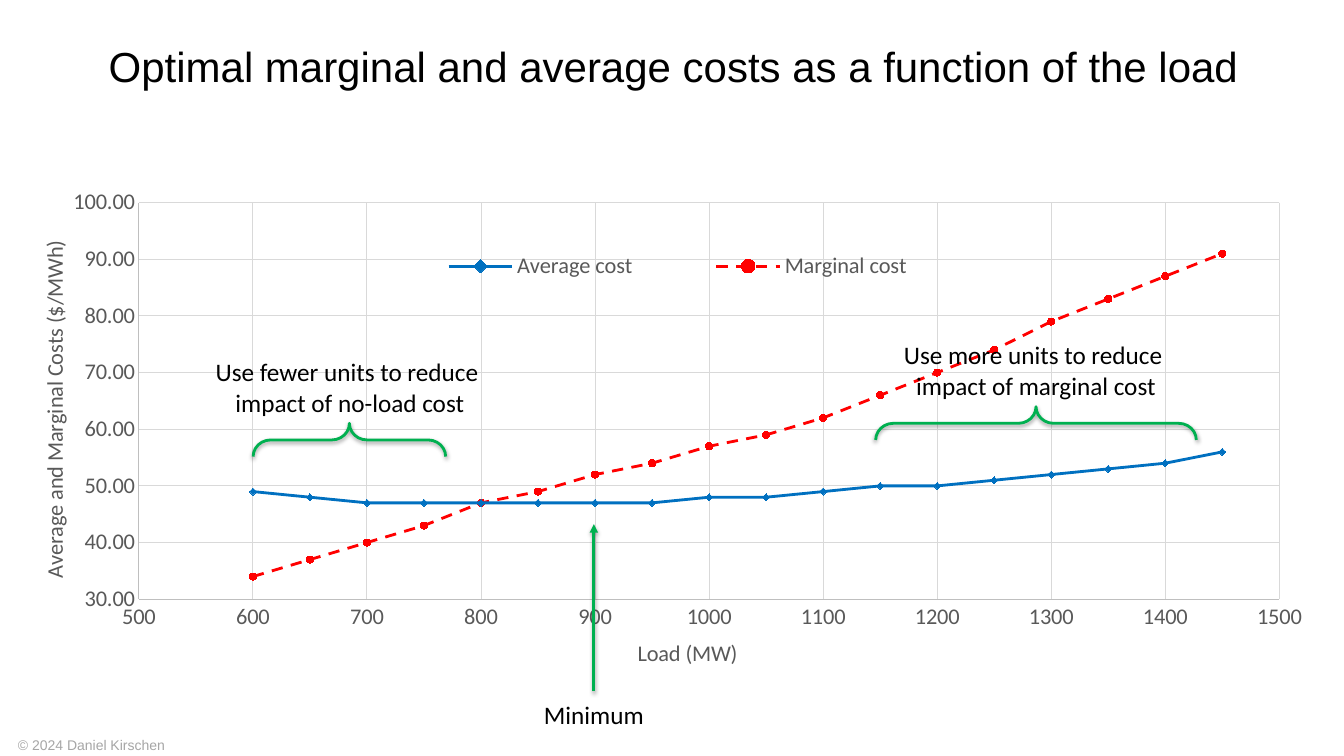
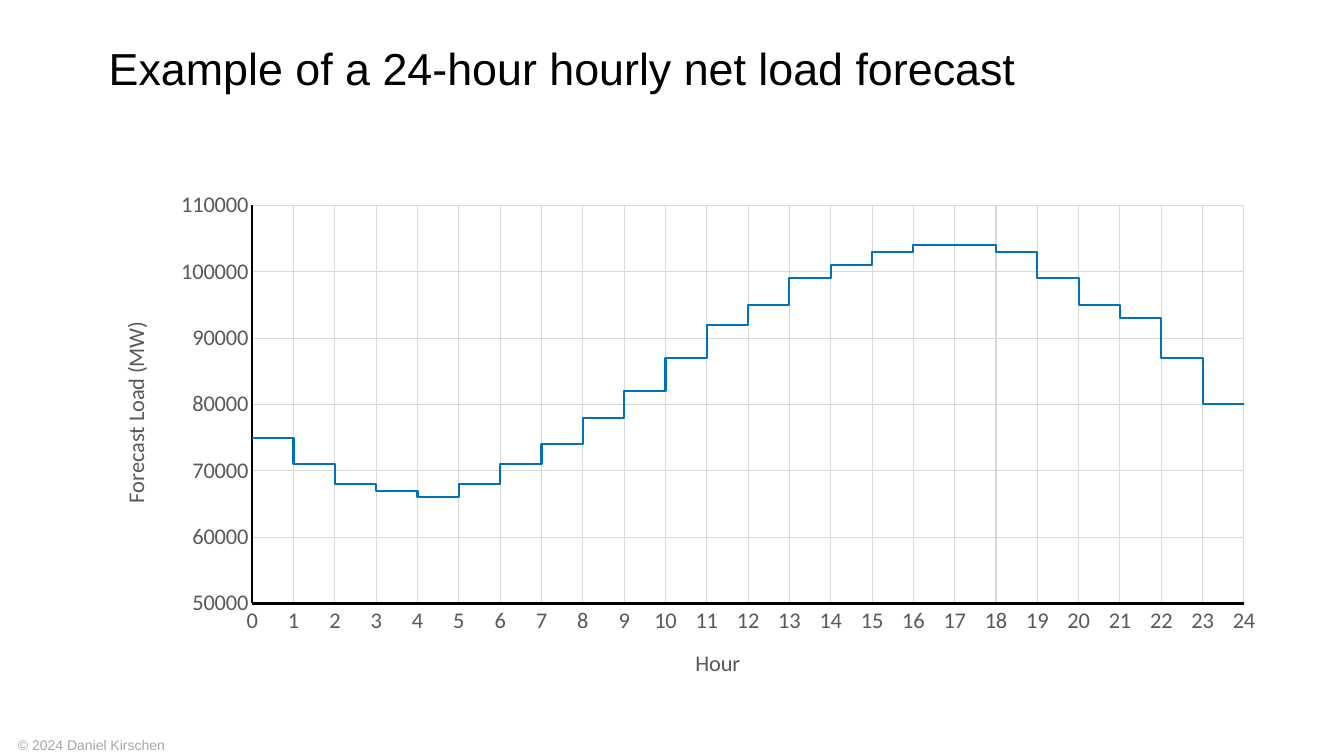
import pptx
import pptx.chart.data
import pptx.dml.color
import pptx.enum.chart
import pptx.enum.dml
import pptx.enum.shapes
import pptx.enum.text
import pptx.oxml
import pptx.oxml.ns
import pptx.util
from dataclasses import dataclass

Inches, Pt, qn = pptx.util.Inches, pptx.util.Pt, pptx.oxml.ns.qn
Chart, Shape = pptx.enum.chart, pptx.enum.shapes
DASH = pptx.enum.dml.MSO_LINE.DASH
CENTER, LEFT = pptx.enum.text.PP_ALIGN.CENTER, pptx.enum.text.PP_ALIGN.LEFT


@dataclass(frozen=True)
class Theme:
    heading_font: str = "Arial"
    body_font: str = "Calibri"
    ink: str = "000000"
    footer: str = "A6A6A6"
    chart_text: str = "595959"
    grid: str = "D9D9D9"
    pale_axis: str = "BFBFBF"
    blue: str = "0070C0"
    red: str = "FF0000"
    green: str = "00B050"
    footer_size: float = 10
    chart_size: float = 16
    note_size: float = 18
    accent_width: float = 2


THEME = Theme()
WIDTH, HEIGHT = 13.33, 7.5
TITLE_PLACE = (0.98, 0.41, 11.71, 0.72)
FOOTER_PLACE = (0.08, 7.26, 3.32, 0.27)
FOOTER = "© 2024 Daniel Kirschen"

LOADS = range(600, 1451, 50)
AVERAGE = [49, 48, 47, 47, 47, 47, 47, 47, 48, 48, 49, 50, 50, 51, 52, 53, 54, 56]
MARGINAL = [34, 37, 40, 43, 47, 49, 52, 54, 57, 59, 62, 66, 70, 74, 79, 83, 87, 91]
HOURLY_GIGAWATTS = [75, 71, 68, 67, 66, 68, 71, 74, 78, 82, 87, 92,
                    95, 99, 101, 103, 104, 104, 103, 99, 95, 93, 87, 80]
HOURLY_STEPS = [(hour + end, load * 1000)
                for hour, load in enumerate(HOURLY_GIGAWATTS) for end in (0, 1)]

# Layouts inside a chart are percentages of the chart's size.
COSTS = {
    "title": "Optimal marginal and average costs as a function of the load",
    "title_size": 30,
    "place": (0.31, 1.52, 12.71, 5.17),
    "plot": (8.4, 9.5, 89, 76.2),
    "legend": (26.6, 18.2, 47.7, 7),
    "axis_line": (THEME.pale_axis, 0.75),
    "x": {"title": "Load (MW)", "at": (47, 92.3), "scale": (500, 1500, 100), "format": "0"},
    "y": {"title": "Average and Marginal Costs ($/MWh)", "at": (0.3, 16.1),
          "scale": (30, 100, 10), "format": "0.00"},
    "series": [
        {"name": "Average cost", "points": list(zip(LOADS, AVERAGE)), "color": THEME.blue,
         "width": 2, "marker": Chart.XL_MARKER_STYLE.DIAMOND},
        {"name": "Marginal cost", "points": list(zip(LOADS, MARGINAL)), "color": THEME.red,
         "width": 2, "marker": Chart.XL_MARKER_STYLE.CIRCLE, "dash": DASH},
    ],
}
FORECAST = {
    "title": "Example of a 24-hour hourly net load forecast",
    "title_size": 32,
    "place": (0.98, 1.8, 11.71, 5.17),
    "plot": (13, 4.6, 84, 76.4),
    "axis_line": (THEME.ink, 1.5),
    "x": {"title": "Hour", "at": (50.2, 88.8), "scale": (0, 24, 1), "format": "0"},
    "y": {"title": "Forecast Load (MW)", "at": (1.5, 26.2),
          "scale": (50000, 110000, 10000), "format": "0"},
    "series": [{"name": "Series 1", "points": HOURLY_STEPS, "color": THEME.blue, "width": 1.5}],
}
NOTES = [
    (["Minimum"], (5.29, 6.89, 1.2, 0.4)),
    (["Use fewer units to reduce ", "impact of no-load cost"], (2.02, 3.49, 2.9, 0.71)),
    (["Use more units to reduce ", "impact of marginal cost"], (8.82, 3.32, 2.91, 0.71)),
]
BRACES = [(3.3, 3.41, 0.33, 1.91), (10.11, 2.61, 0.33, 3.18)]
ARROW = (5.89, 6.86, 5.89, 5.2)


def inches(values):
    return [Inches(value) for value in values]


def rgb(color):
    return pptx.dml.color.RGBColor.from_string(color)


def style_font(font, name, size, color):
    font.name, font.size, font.bold = name, Pt(size), False
    font.color.rgb = rgb(color)


def style_line(line, color, width, dash=None):
    line.color.rgb = rgb(color)
    line.width = Pt(width)
    if dash is not None:
        line.dash_style = dash


def add_text(slide, lines, place, font, align=LEFT, wrap=True, spacing=None):
    frame = slide.shapes.add_textbox(*inches(place)).text_frame
    frame.word_wrap = wrap
    frame.text = "\n".join(lines)
    for para in frame.paragraphs:
        para.alignment = align
        para.line_spacing = spacing
        for span in para.runs:
            style_font(span.font, *font)


def set_layout(element, index, percentages, inner=False):
    """Place a chart part by hand; index is where its layout belongs among the children."""
    for old in element.findall(qn("c:layout")):
        element.remove(old)
    values = [("layoutTarget", "inner")] if inner else []
    values += [("xMode", "edge"), ("yMode", "edge")]
    values += [(tag, round(value / 100, 4)) for tag, value in zip("xywh", percentages)]
    children = "".join(f'<c:{tag} val="{value}"/>' for tag, value in values)
    element.insert(index, pptx.oxml.parse_xml(
        f'<c:layout {pptx.oxml.ns.nsdecls("c")}><c:manualLayout>{children}'
        '</c:manualLayout></c:layout>'))


def style_axis(axis, content, line, vertical):
    axis.minimum_scale, axis.maximum_scale, axis.major_unit = content["scale"]
    axis.crosses = Chart.XL_AXIS_CROSSES.MINIMUM
    axis.major_tick_mark = axis.minor_tick_mark = Chart.XL_TICK_MARK.NONE
    axis.has_major_gridlines = True
    style_line(axis.major_gridlines.format.line, THEME.grid, 0.75)
    style_line(axis.format.line, *line)
    labels = axis.tick_labels
    labels.number_format, labels.number_format_is_linked = content["format"], False
    style_font(labels.font, THEME.body_font, THEME.chart_size, THEME.chart_text)

    title = axis.axis_title
    title.text_frame.text = content["title"]
    span = title.text_frame.paragraphs[0].runs[0]
    style_font(span.font, THEME.body_font, THEME.chart_size, THEME.chart_text)
    if vertical:
        next(title._element.iter(qn("a:bodyPr"))).set("rot", "-5400000")
    set_layout(title._element, 1, content["at"])


def style_series(series, content):
    style_line(series.format.line, content["color"], content["width"], content.get("dash"))
    marker = series.marker
    marker.style = content.get("marker", Chart.XL_MARKER_STYLE.NONE)
    if "marker" in content:
        marker.size = 5
        marker.format.fill.solid()
        marker.format.fill.fore_color.rgb = rgb(content["color"])
        style_line(marker.format.line, content["color"], 0.75)


def add_scatter(slide, content):
    data = pptx.chart.data.XyChartData()
    for entry in content["series"]:
        series = data.add_series(entry["name"])
        for x, y in entry["points"]:
            series.add_data_point(x, y)
    has_markers = any("marker" in entry for entry in content["series"])
    kind = Chart.XL_CHART_TYPE.XY_SCATTER_LINES if has_markers \
        else Chart.XL_CHART_TYPE.XY_SCATTER_LINES_NO_MARKERS
    chart = slide.shapes.add_chart(kind, *inches(content["place"]), data).chart
    chart.has_title = False
    style_font(chart.font, THEME.body_font, THEME.chart_size, THEME.ink)
    plot = chart.plots[0]
    plot.vary_by_categories = False
    for series, entry in zip(plot.series, content["series"]):
        style_series(series, entry)
    style_axis(chart.category_axis, content["x"], content["axis_line"], vertical=False)
    style_axis(chart.value_axis, content["y"], content["axis_line"], vertical=True)
    set_layout(chart._chartSpace.chart.plotArea, 0, content["plot"], inner=True)

    chart.has_legend = "legend" in content
    if chart.has_legend:
        legend = chart.legend
        legend.position = Chart.XL_LEGEND_POSITION.TOP
        legend.include_in_layout = True
        style_font(legend.font, THEME.body_font, THEME.chart_size, THEME.chart_text)
        set_layout(legend._element, 1, content["legend"])


def style_accent(shape):
    """Give a brace or arrow the green line and its soft shadow."""
    style_line(shape.line, THEME.green, THEME.accent_width)
    shape._element.spPr.append(pptx.oxml.parse_xml(
        f'<a:effectLst {pptx.oxml.ns.nsdecls("a")}>'
        f'<a:outerShdw blurRad="{Pt(3.1)}" dist="{Pt(1.6)}" dir="5400000" rotWithShape="0">'
        f'<a:srgbClr val="{THEME.ink}"><a:alpha val="38000"/></a:srgbClr>'
        '</a:outerShdw></a:effectLst>'))


def add_annotations(slide):
    arrow = slide.shapes.add_connector(Shape.MSO_CONNECTOR.STRAIGHT, *inches(ARROW))
    style_accent(arrow)
    arrow.line._get_or_add_ln().append(pptx.oxml.parse_xml(
        f'<a:tailEnd {pptx.oxml.ns.nsdecls("a")} type="triangle"/>'))
    for place in BRACES:
        brace = slide.shapes.add_shape(Shape.MSO_SHAPE.LEFT_BRACE, *inches(place))
        brace.rotation = 90
        brace.adjustments[0] = 0.53
        brace.fill.background()
        style_accent(brace)
    for lines, place in NOTES:
        add_text(slide, lines, place, (THEME.body_font, THEME.note_size, THEME.ink),
                 align=CENTER, wrap=False)


def add_chart_slide(deck, content):
    slide = deck.slides.add_slide(deck.slide_layouts[6])
    add_text(slide, [FOOTER], FOOTER_PLACE,
             (THEME.heading_font, THEME.footer_size, THEME.footer))
    add_text(slide, [content["title"]], TITLE_PLACE,
             (THEME.heading_font, content["title_size"], THEME.ink), spacing=0.9)
    add_scatter(slide, content)
    return slide


def main():
    deck = pptx.Presentation()
    deck.slide_width, deck.slide_height = inches((WIDTH, HEIGHT))
    add_annotations(add_chart_slide(deck, COSTS))
    add_chart_slide(deck, FORECAST)
    deck.save("out.pptx")


if __name__ == "__main__":
    main()
